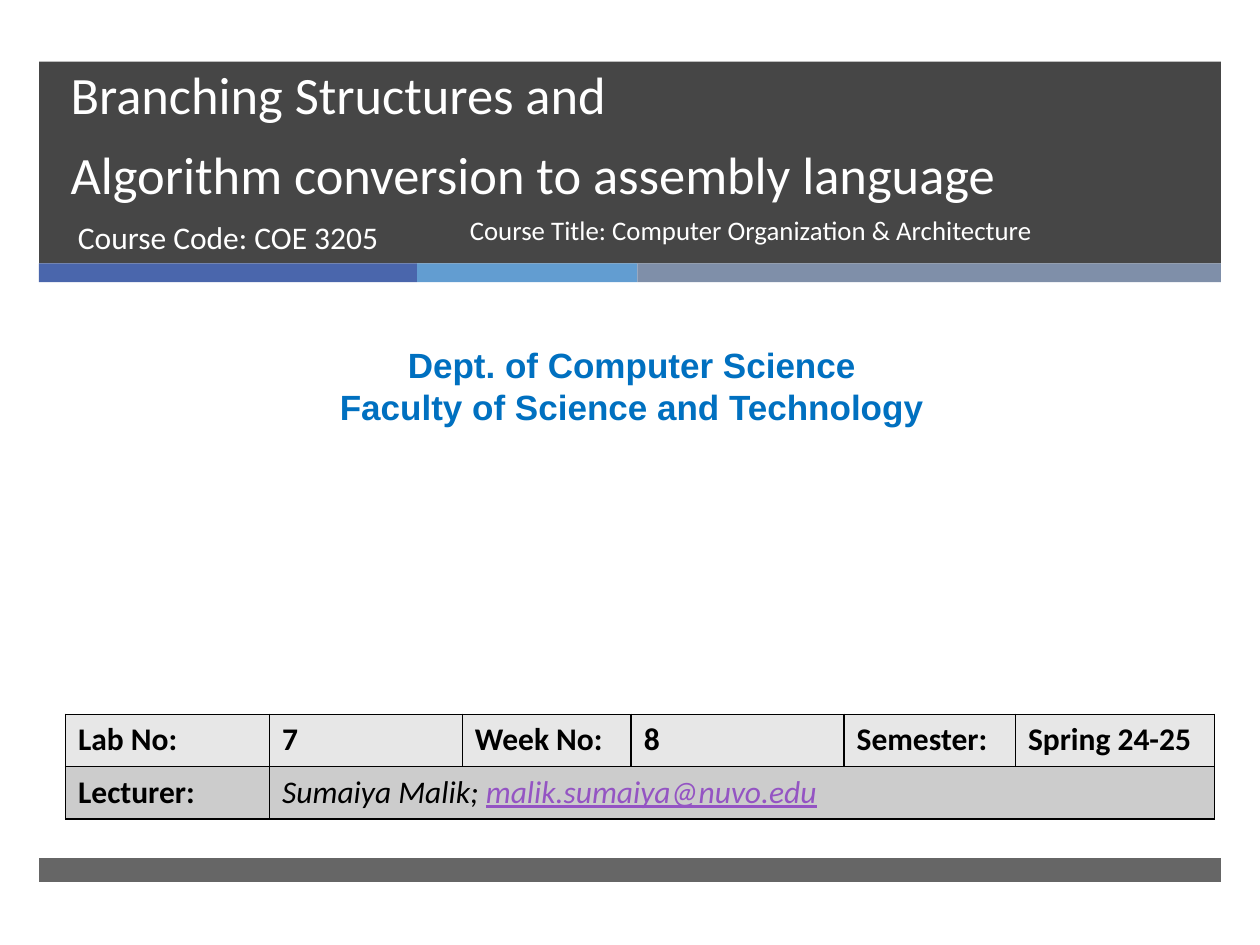
from dataclasses import dataclass
from typing import NamedTuple

from lxml.etree import SubElement
from pptx import Presentation
from pptx.dml.color import RGBColor
from pptx.enum.shapes import MSO_SHAPE as Shape
from pptx.enum.text import MSO_ANCHOR as Anchor, MSO_AUTO_SIZE as AutoSize, PP_ALIGN as Align
from pptx.oxml.ns import qn
from pptx.util import Emu, Pt

EMU_PER_PX = 9144


@dataclass(frozen=True)
class Theme:
    """Colours, fonts and type sizes of the slide."""
    dark: str = "262626"
    stripes: tuple = ("4A66AC", "629DD1", "7F8FA9")
    white: str = "FFFFFF"
    black: str = "000000"
    department: str = "0070C0"
    email: str = "9454C3"
    rows: tuple = ("E7E7E7", "CCCCCC")
    body_font: str = "Calibri"
    department_font: str = "Arial"
    title_size: float = 30
    title_leading: float = 46
    department_size: float = 20
    text_size: float = 18
    course_size: float = 15.3


THEME = Theme()


class Box(NamedTuple):
    """A rectangle in px."""
    x: int
    y: int
    w: int
    h: int

    def inner(self, dx, dy, w, h):
        """Return a box placed relative to this one."""
        return Box(self.x + dx, self.y + dy, w, h)

    def emu(self):
        """Return left, top, width and height in EMU."""
        return [px(length) for length in self]


def px(length):
    """Turn px into EMU."""
    return Emu(length * EMU_PER_PX)


def style_run(run, size, color, font=THEME.body_font, bold=False, italic=False, underline=False):
    """Format one run."""
    run.font.size = Pt(size)
    run.font.name = font
    run.font.color.rgb = RGBColor.from_string(color)
    run.font.bold = bold
    run.font.italic = italic
    run.font.underline = underline


def style_frame(frame, **style):
    """Format every run of a text frame."""
    for paragraph in frame.paragraphs:
        for run in paragraph.runs:
            style_run(run, **style)


def add_bar(shapes, box, color, alpha=100):
    """Add a plain rectangle with the given opacity in percent."""
    bar = shapes.add_shape(Shape.RECTANGLE, *box.emu())
    bar.shadow.inherit = False
    bar.line.fill.background()
    bar.fill.solid()
    bar.fill.fore_color.rgb = RGBColor.from_string(color)
    if alpha < 100:
        tint = bar.element.spPr.find(qn("a:solidFill"))[0]
        SubElement(tint, qn("a:alpha"), val=str(alpha * 1000))


def add_label(slide, box, text, **style):
    """Add a wrapping text box and return its frame."""
    frame = slide.shapes.add_textbox(*box.emu()).text_frame
    frame.word_wrap = True
    frame.text = text
    style_frame(frame, **style)
    return frame


def add_header(slide, box):
    """Place the dark band, its stripes, the title and the course details."""
    band_height = box.h - 15
    add_bar(slide.shapes, box.inner(0, 0, box.w, band_height), THEME.dark, 85)
    stripes = slide.shapes.add_group_shape()
    left = 0
    for color, width in zip(THEME.stripes, (300, 175, box.w - 475)):
        add_bar(stripes.shapes, box.inner(left, band_height, width, 15), color)
        left += width

    title = slide.shapes.title
    slide.shapes.element.append(title.element)
    title.left, title.top, title.width, title.height = box.inner(15, 0, 854, 119).emu()
    frame = title.text_frame
    frame.auto_size = AutoSize.NONE
    frame.vertical_anchor = Anchor.BOTTOM
    heading = frame.paragraphs[0]
    heading.text = "Branching Structures and\vAlgorithm conversion to assembly language"
    heading.alignment = Align.LEFT
    heading.line_spacing = Pt(THEME.title_leading)
    style_frame(frame, size=THEME.title_size, color=THEME.white)

    add_label(slide, box.inner(21, 119, 305, 53), "Course Code: COE 3205",
              size=THEME.text_size, color=THEME.white)
    course = add_label(slide, box.inner(332, 119, 469, 53),
                       "Course Title: Computer Organization & Architecture",
                       size=THEME.course_size, color=THEME.white)
    course.paragraphs[0].line_spacing = 0.9


def add_department(slide, box):
    """Place the centred department and faculty lines."""
    frame = add_label(slide, box, "Dept. of Computer Science\nFaculty of Science and Technology",
                      size=THEME.department_size, color=THEME.department,
                      font=THEME.department_font, bold=True)
    frame.auto_size = AutoSize.SHAPE_TO_FIT_TEXT
    for paragraph in frame.paragraphs:
        paragraph.alignment = Align.CENTER


def style_cell(cell, fill):
    """Give a cell thin black borders and a fill."""
    properties = cell._tc.get_or_add_tcPr()
    for side in ("a:lnL", "a:lnR", "a:lnT", "a:lnB"):
        border = SubElement(properties, qn(side), w=str(Pt(1)))
        ink = SubElement(border, qn("a:solidFill"))
        SubElement(ink, qn("a:srgbClr"), val=THEME.black)
    cell.fill.solid()
    cell.fill.fore_color.rgb = RGBColor.from_string(fill)


def add_lab_table(slide, box):
    """Place the table of lab, week, semester and lecturer."""
    widths = (162, 153, 134, 169, 136, 158)
    details = (("Lab No:", "7", "Week No:", "8", "Semester:", "Spring 24-25"), ("Lecturer:",))
    table = slide.shapes.add_table(len(details), len(widths), *box.emu()).table
    for column, width in zip(table.columns, widths):
        column.width = px(width)
    for row, fill in zip(table.rows, THEME.rows):
        for cell in row.cells:
            style_cell(cell, fill)
    for r, texts in enumerate(details):
        for c, text in enumerate(texts):
            frame = table.cell(r, c).text_frame
            frame.text = text
            style_frame(frame, size=THEME.text_size, color=THEME.black, bold=True)

    lecturer = table.cell(1, 1)
    lecturer.merge(table.cell(1, len(widths) - 1))
    contact = lecturer.text_frame.paragraphs[0]
    for text, color, underline in (("Sumaiya Malik; ", THEME.black, False),
                                   ("malik.sumaiya@nuvo.edu", THEME.email, True)):
        run = contact.add_run()
        run.text = text
        style_run(run, THEME.text_size, color, italic=True, underline=underline)


def main():
    """Build and save the slide."""
    deck = Presentation()
    deck.slide_width, deck.slide_height = px(1000), px(750)
    slide = deck.slides.add_slide(deck.slide_layouts.get_by_name("Title Only"))
    add_header(slide, Box(31, 49, 938, 175))
    add_bar(slide.shapes, Box(31, 681, 938, 19), THEME.dark, 70)
    add_department(slide, Box(8, 268, 987, 77))
    add_lab_table(slide, Box(52, 567, 912, 83))
    deck.save("out.pptx")


if __name__ == "__main__":
    main()
